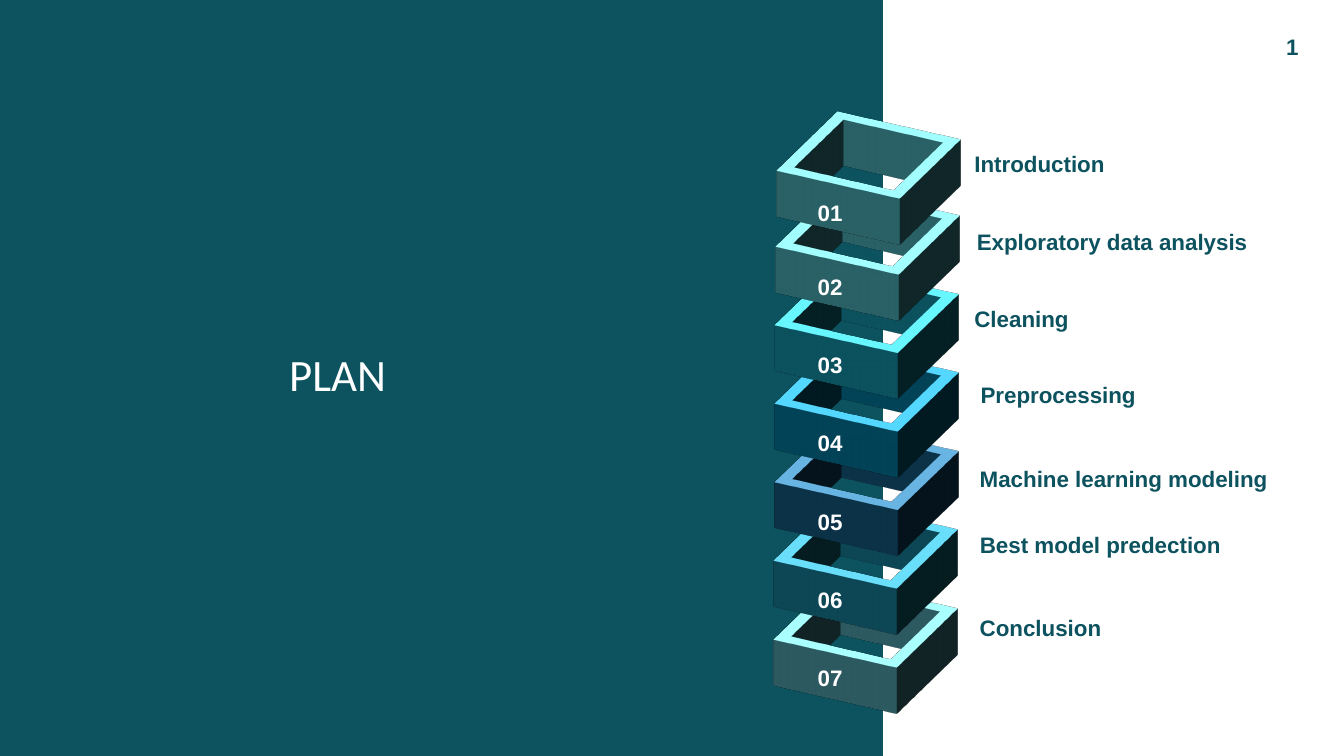
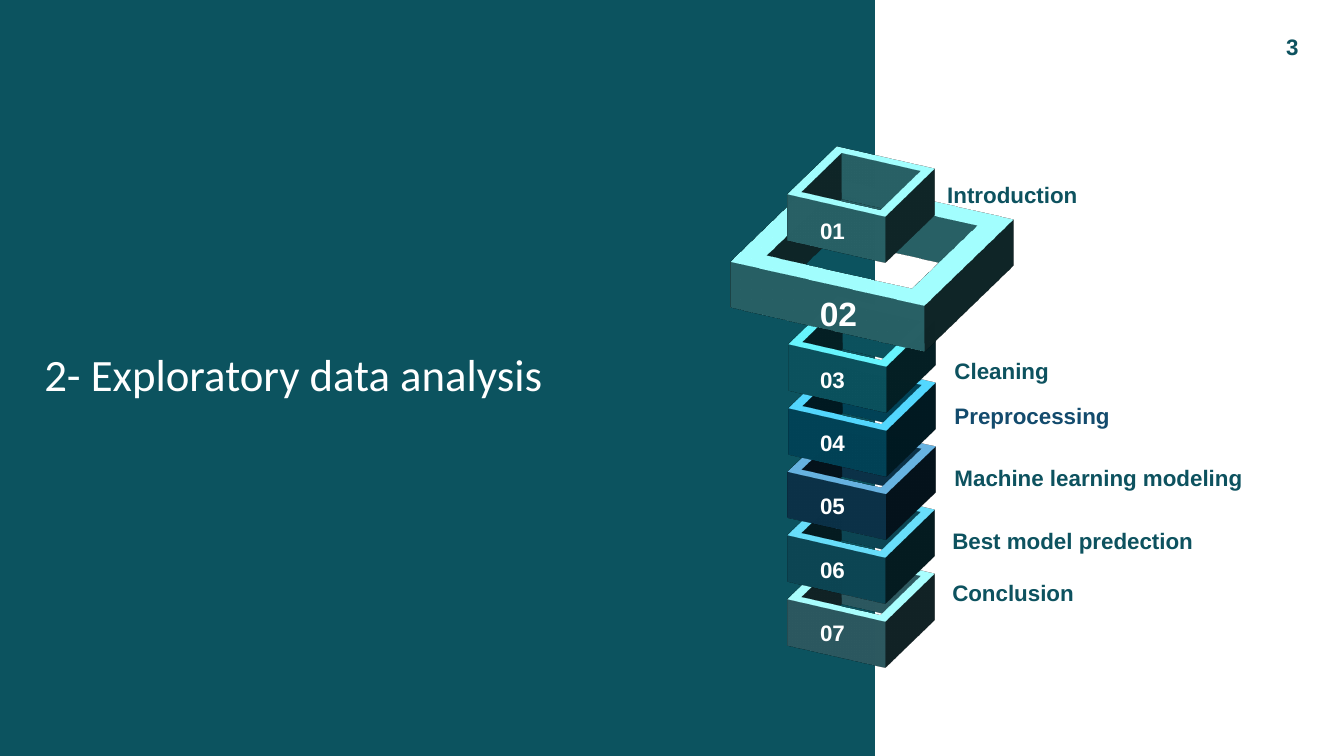
from collections import namedtuple

from lxml.etree import SubElement
from pptx import Presentation
from pptx.dml.color import RGBColor
from pptx.enum.shapes import MSO_SHAPE
from pptx.enum.text import PP_ALIGN
from pptx.oxml.ns import qn
from pptx.util import Pt

SLIDE_WIDTH, SLIDE_HEIGHT = 960, 540
PANEL, WHITE, LABEL, LABEL_BLUE = "0C535F", "FFFFFF", "0D525F", "134B6D"
BOX_COLORS = ["53C3CD", "53C3CD", "19A5BE", "0587AF", "196491", "1A8EA9", "5AB4C1"]
BOX_DEPTH = 37.2
BOX_ROTATION = {"lat": 307.5, "lon": 39.5, "rev": 314}
ANGLE_UNIT = 60000
LINE_HEIGHT = 1.15

Box = namedtuple("Box", "x y number_top width height inset number_x number_size")
Label = namedtuple("Label", "text left top color", defaults=[LABEL])


def color(hex_string):
    return RGBColor.from_string(hex_string)


def add_shape(shapes, preset, left, top, width, height, hex_string):
    shape = shapes.add_shape(preset, Pt(left), Pt(top), Pt(width), Pt(height))
    shape.shadow.inherit = False
    shape.fill.solid()
    shape.fill.fore_color.rgb = color(hex_string)
    shape.line.fill.background()
    return shape


def add_text(shapes, text, left, top, width, size, hex_string, font="Arial",
             bold=True, align=PP_ALIGN.LEFT):
    shape = shapes.add_textbox(Pt(left), Pt(top), Pt(width), Pt(size * LINE_HEIGHT))
    text_frame = shape.text_frame
    text_frame.word_wrap = True
    text_frame.margin_left = text_frame.margin_right = 0
    text_frame.margin_top = text_frame.margin_bottom = 0
    text_frame.text = text
    paragraph = text_frame.paragraphs[0]
    paragraph.alignment = align
    run_font = paragraph.runs[0].font
    run_font.name, run_font.size, run_font.bold = font, Pt(size), bold
    run_font.color.rgb = color(hex_string)


def extrude(shape):
    """Tilt the shape to be seen from above and give it depth."""
    properties = shape.element.spPr
    scene = SubElement(properties, qn("a:scene3d"))
    camera = SubElement(scene, qn("a:camera"), prst="isometricOffAxis2Top")
    SubElement(camera, qn("a:rot"), {
        axis: str(int(degrees * ANGLE_UNIT)) for axis, degrees in BOX_ROTATION.items()
    })
    SubElement(scene, qn("a:lightRig"), rig="threePt", dir="t")
    SubElement(properties, qn("a:sp3d"), extrusionH=str(Pt(BOX_DEPTH)))


def add_box(shapes, box, hex_string, number):
    frame = add_shape(shapes, MSO_SHAPE.FRAME, box.x - box.width / 2,
                      box.y - box.height / 2, box.width, box.height, hex_string)
    frame.adjustments[0] = box.inset
    extrude(frame)
    add_text(shapes, f"{number:02}", box.number_x - 30, box.number_top, 60,
             box.number_size, WHITE, align=PP_ALIGN.CENTER)


def add_plan_slide(presentation, panel_width, title, title_left, page, boxes, labels,
                   highlighted=None):
    slide = presentation.slides.add_slide(presentation.slide_layouts[6])
    shapes = slide.shapes
    add_shape(shapes, MSO_SHAPE.RECTANGLE, 0, 0, panel_width, SLIDE_HEIGHT, PANEL)
    add_text(shapes, title, title_left, 247.7, 440, 32, WHITE, "Calibri", False)
    # Lower boxes come first so that each one overlaps the box beneath it.
    for number in range(len(boxes), 0, -1):
        target = shapes.add_group_shape().shapes if number == highlighted else shapes
        add_box(target, boxes[number - 1], BOX_COLORS[number - 1], number)
    for label in labels:
        add_text(shapes, label.text, label.left, label.top, 220, 16, label.color)
    add_text(shapes, str(page), 918.7, 23.4, 14, 16, LABEL)


def plan_box(x, y, number_top):
    return Box(x, y, number_top, 97.9, 99.4, 0.098, 592.9, 16)


def small_box(x, y, number_top):
    return Box(x, y, number_top, 77.8, 80.6, 0.098, 594.6, 16)


def main():
    presentation = Presentation()
    presentation.slide_width, presentation.slide_height = Pt(SLIDE_WIDTH), Pt(SLIDE_HEIGHT)

    plan_boxes = [plan_box(620.6, 111, 142)] + [
        plan_box(619.4 - 0.25 * step, 165 + 56.1 * step, 195.2 + 55.8 * step)
        for step in range(6)
    ]
    add_plan_slide(presentation, 630.7, "PLAN", 206.6, 1, plan_boxes, [
        Label("Introduction", 696, 107.3),
        Label("Exploratory data analysis", 697.7, 162.7),
        Label("Cleaning", 696, 218.2),
        Label("Preprocessing", 700.4, 272.2),
        Label("Machine learning modeling", 699.8, 332),
        Label("Best model predection", 699.9, 379.4),
        Label("Conclusion", 699.8, 439),
    ])

    highlighted_box = Box(622.8, 172.1, 209.2, 154, 145.4, 0.134, 598.9, 24)
    analysis_boxes = [small_box(614.9, 129.6, 154.8), highlighted_box] + [
        small_box(615.8 - 0.25 * step, 236.9 + 45.5 * step, 261.4 + 45.2 * step)
        for step in range(5)
    ]
    add_plan_slide(presentation, 625, "2- Exploratory data analysis", 31.7, 3,
                   analysis_boxes, [
        Label("Introduction", 676.6, 129.6),
        Label("Cleaning", 681.8, 254.9),
        Label("Preprocessing", 681.8, 287.3, LABEL_BLUE),
        Label("Machine learning modeling", 681.8, 331.6),
        Label("Best model predection", 680.2, 376.6),
        Label("Conclusion", 680.2, 413.5),
    ], highlighted=2)

    presentation.save("out.pptx")


if __name__ == "__main__":
    main()
